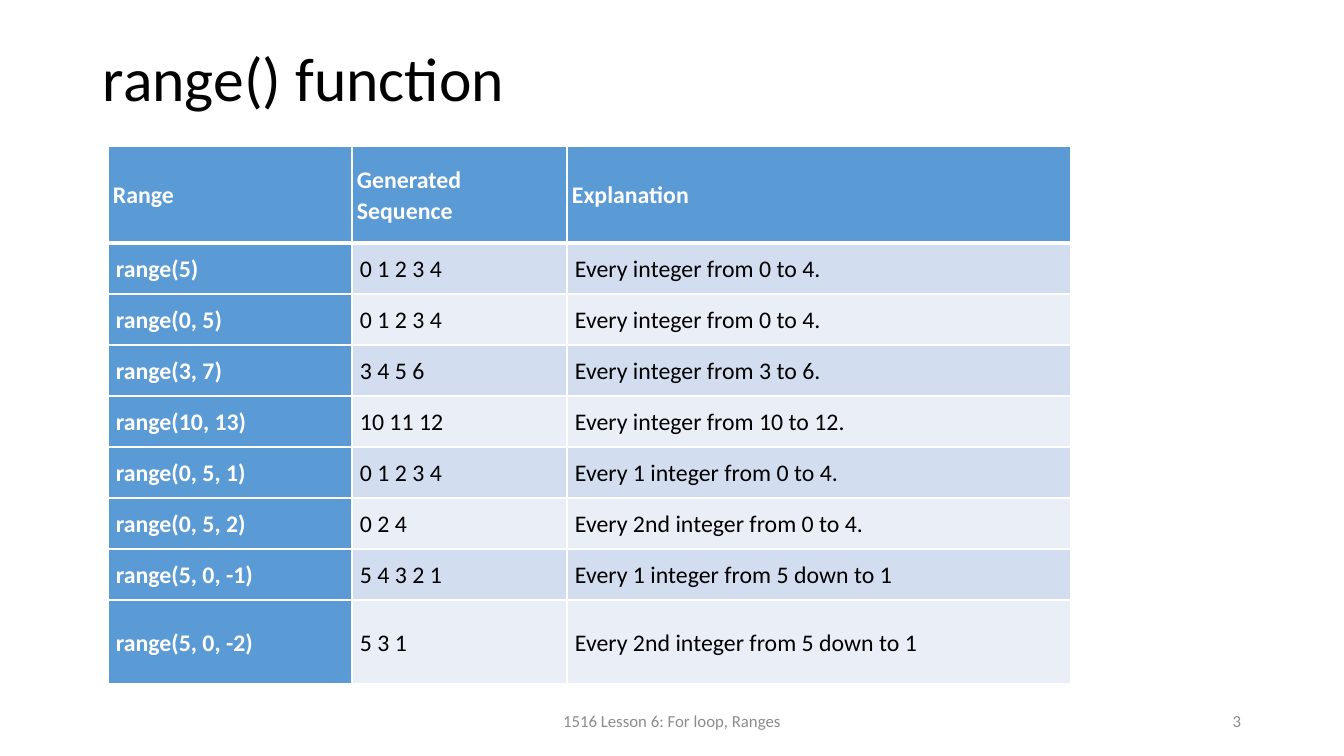
"""Build the slide that tabulates calls of the range() function."""
from dataclasses import dataclass

from lxml import etree
from pptx import Presentation
from pptx.dml.color import RGBColor
from pptx.enum.text import MSO_ANCHOR, PP_ALIGN
from pptx.oxml.ns import qn
from pptx.util import Emu, Pt

MIDDLE = MSO_ANCHOR.MIDDLE
LEFT, CENTER, RIGHT = PP_ALIGN.LEFT, PP_ALIGN.CENTER, PP_ALIGN.RIGHT
EMU_PER_PX = 9071
SLIDE_WIDTH, SLIDE_HEIGHT = 1344, 756
TABLE_LEFT, TABLE_TOP = 108, 146
COLUMN_WIDTHS = (244, 215, 504)
ROW_HEIGHTS = (97, *[51] * 7, 84)
HEADER_INSET, BODY_INSET = 5, 8
THIN_RULE, HEADER_RULE = 1, 3


@dataclass(frozen=True)
class Theme:
    font: str = "Calibri"
    ink: str = "000000"
    white: str = "FFFFFF"
    muted: str = "8C8C8C"
    accent: str = "5B9BD5"
    bands: tuple[str, str] = ("D2DEEF", "EAEFF7")
    title_size: int = 44
    table_size: int = 17
    footer_size: int = 12


THEME = Theme()


@dataclass(frozen=True)
class Label:
    text: str
    left: int
    top: int
    width: int
    height: int
    size: int
    color: str
    align: int = LEFT
    line_spacing: float = 1.0


@dataclass(frozen=True)
class RangeRow:
    call: str
    sequence: str
    explanation: str


LABELS = (
    Label("range() function", 93, 40, 1159, 84, THEME.title_size, THEME.ink, line_spacing=0.9),
    Label("1516 Lesson 6: For loop, Ranges", 445, 701, 454, 40, THEME.footer_size, THEME.muted, CENTER),
    Label("3", 949, 701, 302, 40, THEME.footer_size, THEME.muted, RIGHT),
)
RANGE_ROWS = (
    RangeRow("Range", "Generated Sequence", "Explanation"),
    RangeRow("range(5)", "0 1 2 3 4", "Every integer from 0 to 4."),
    RangeRow("range(0, 5)", "0 1 2 3 4", "Every integer from 0 to 4."),
    RangeRow("range(3, 7)", "3 4 5 6", "Every integer from 3 to 6."),
    RangeRow("range(10, 13)", "10 11 12", "Every integer from 10 to 12."),
    RangeRow("range(0, 5, 1)", "0 1 2 3 4", "Every 1 integer from 0 to 4."),
    RangeRow("range(0, 5, 2)", "0 2 4", "Every 2nd integer from 0 to 4."),
    RangeRow("range(5, 0, -1)", "5 4 3 2 1", "Every 1 integer from 5 down to 1"),
    RangeRow("range(5, 0, -2)", "5 3 1", "Every 2nd integer from 5 down to 1"),
)


def px(length: int) -> Emu:
    return Emu(length * EMU_PER_PX)


def apply_format(target, values: dict) -> None:
    for attribute, value in values.items():
        setattr(target, attribute, value)


def write_text(frame, text: str, size: int, color: str, bold: bool, paragraph_format: dict) -> None:
    paragraph = frame.paragraphs[0]
    apply_format(paragraph, paragraph_format)
    run = paragraph.add_run()
    run.text = text
    apply_format(run.font, {"name": THEME.font, "size": Pt(size), "bold": bold})
    run.font.color.rgb = RGBColor.from_string(color)


def draw_label(slide, label: Label) -> None:
    box = slide.shapes.add_textbox(px(label.left), px(label.top), px(label.width), px(label.height))
    apply_format(box.text_frame, {"word_wrap": True, "vertical_anchor": MIDDLE})
    write_text(box.text_frame, label.text, label.size, label.color, False,
               {"alignment": label.align, "line_spacing": label.line_spacing})


def draw_borders(cell, top: int, bottom: int) -> None:
    properties = cell._tc.get_or_add_tcPr()
    widths = {"a:lnL": THIN_RULE, "a:lnR": THIN_RULE, "a:lnT": top, "a:lnB": bottom}
    for position, (tag, width) in enumerate(widths.items()):
        border = etree.Element(qn(tag), w=str(Pt(width)))
        fill = etree.SubElement(border, qn("a:solidFill"))
        etree.SubElement(fill, qn("a:srgbClr"), val=THEME.white)
        properties.insert(position, border)


def draw_cell(cell, text: str, row: int, column: int) -> None:
    is_header = row == 0
    is_accent = is_header or column == 0
    inset = px(HEADER_INSET if is_header else BODY_INSET)
    apply_format(cell, {"vertical_anchor": MIDDLE, "margin_left": inset, "margin_right": inset,
                        "margin_top": inset, "margin_bottom": inset})
    cell.fill.solid()
    cell.fill.fore_color.rgb = RGBColor.from_string(
        THEME.accent if is_accent else THEME.bands[(row - 1) % 2])
    draw_borders(cell, HEADER_RULE if row == 1 else THIN_RULE,
                 HEADER_RULE if is_header else THIN_RULE)
    write_text(cell.text_frame, text, THEME.table_size,
               THEME.white if is_accent else THEME.ink, is_accent,
               {"line_spacing": 1.07, "space_after": Pt(8)})


def draw_range_table(slide) -> None:
    table = slide.shapes.add_table(
        len(RANGE_ROWS), len(COLUMN_WIDTHS), px(TABLE_LEFT), px(TABLE_TOP),
        px(sum(COLUMN_WIDTHS)), px(sum(ROW_HEIGHTS))).table
    for column, width in zip(table.columns, COLUMN_WIDTHS):
        column.width = px(width)
    for row, height in zip(table.rows, ROW_HEIGHTS):
        row.height = px(height)
    for row, entry in enumerate(RANGE_ROWS):
        for column, text in enumerate((entry.call, entry.sequence, entry.explanation)):
            draw_cell(table.cell(row, column), text, row, column)


def main() -> None:
    deck = Presentation()
    apply_format(deck, {"slide_width": px(SLIDE_WIDTH), "slide_height": px(SLIDE_HEIGHT)})
    slide = deck.slides.add_slide(deck.slide_layouts[6])
    for label in LABELS:
        draw_label(slide, label)
    draw_range_table(slide)
    deck.save("out.pptx")


if __name__ == "__main__":
    main()
